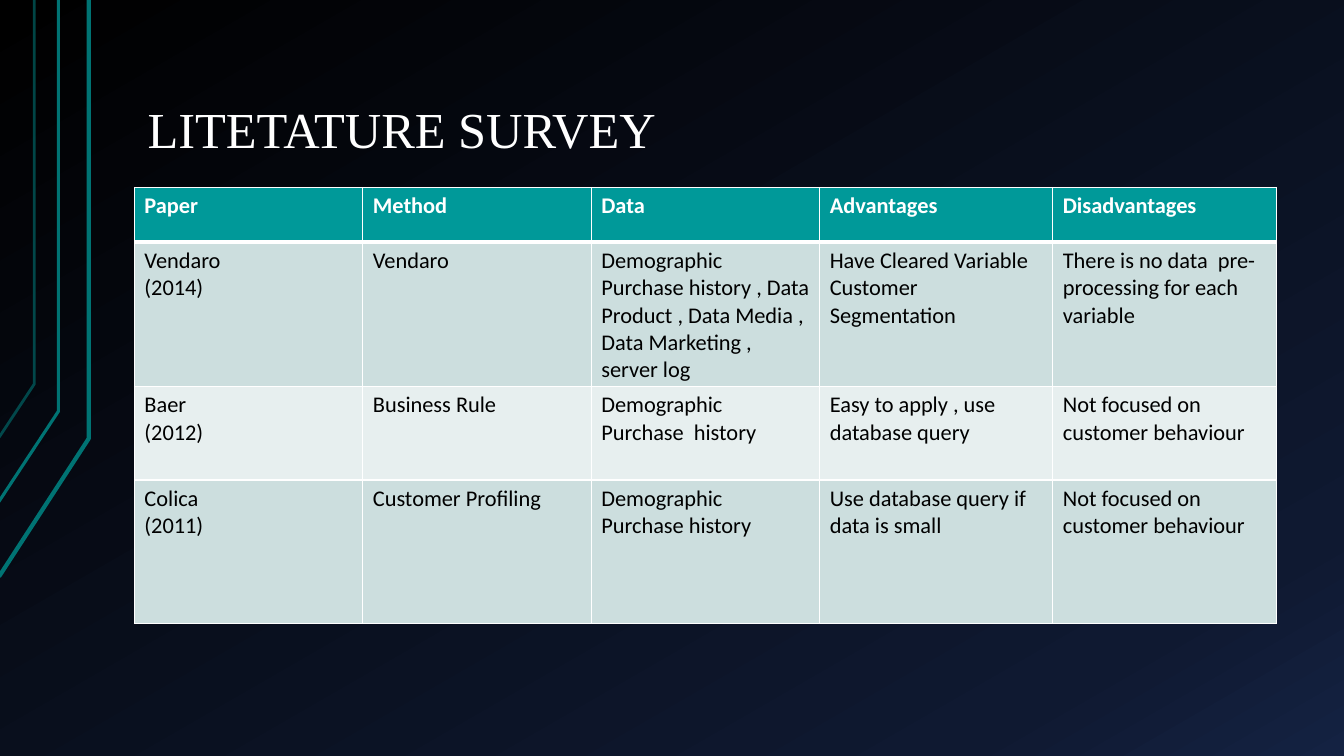
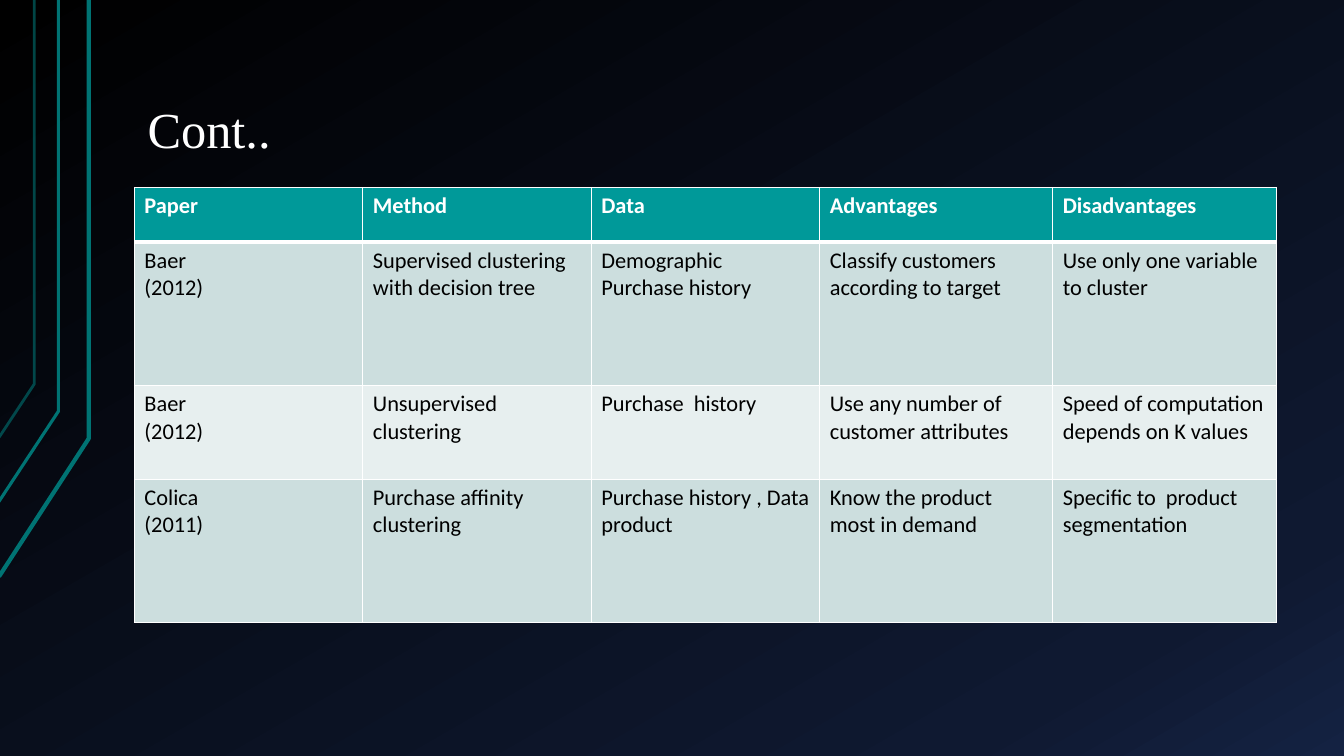
"""Build two literature survey slides with a shared dark theme."""
from copy import deepcopy

from lxml import etree
from pptx import Presentation
from pptx import util as u
from pptx.dml.color import RGBColor
from pptx.enum import text
from pptx.oxml import ns

WIDTH, HEIGHT = u.Inches(13.33), u.Inches(7.5)
WHITE, BLACK = RGBColor(255, 255, 255), RGBColor(0, 0, 0)
TEAL, DARK_TEAL = RGBColor(0, 0x99, 0x99), RGBColor(0, 0x73, 0x73)
BANDS = RGBColor(0xCC, 0xDE, 0xDE), RGBColor(0xE7, 0xEF, 0xEF)
BACKDROP = [(0, BLACK), (0.85, RGBColor(0x0F, 0x19, 0x31)), (1, RGBColor(0x14, 0x22, 0x42))]

TITLE_BOX = (0.1, 0.04, 0.85, 0.18)
TABLE_BOX = (0.1, 0.248, 0.85, 0.576)
COLUMN_SHARES = (0.2, 0.2, 0.2, 0.204, 0.196)
ROW_SHARES = (0.125, 0.33, 0.215, 0.33)

RAILS = [
    ([(-0.01, 5.72), (0.88, 4.35), (0.88, 0)], 3, 100),
    ([(-0.02, 4.99), (0.58, 4.08), (0.58, 0)], 2.25, 100),
    ([(-0.01, 4.34), (0.34, 3.81), (0.34, 0)], 2, 60),
]

HEADERS = ["Paper", "Method", "Data", "Advantages", "Disadvantages"]
SLIDES = [
    ("LITETATURE SURVEY", [
        ["Vendaro\n(2014)", "Vendaro",
         "Demographic Purchase history , Data Product , Data Media , Data Marketing , server log",
         "Have Cleared Variable Customer Segmentation",
         "There is no data  pre-processing for each variable"],
        ["Baer\n(2012)", "Business Rule", "Demographic Purchase  history",
         "Easy to apply , use database query", "Not focused on customer behaviour"],
        ["Colica\n(2011)", "Customer Profiling", "Demographic Purchase history",
         "Use database query if data is small", "Not focused on customer behaviour"],
    ]),
    ("Cont..", [
        ["Baer\n(2012)", "Supervised clustering with decision tree",
         "Demographic Purchase history", "Classify customers according to target",
         "Use only one variable to cluster"],
        ["Baer\n(2012)", "Unsupervised clustering", "Purchase  history",
         "Use any number of customer attributes", "Speed of computation depends on K values"],
        ["Colica\n(2011)", "Purchase affinity clustering", "Purchase history , Data product",
         "Know the product most in demand", "Specific to  product segmentation"],
    ]),
]


def place(box):
    """Turn shares of the slide into left, top, width and height."""
    return [u.Emu(round(share * side)) for share, side in zip(box, (WIDTH, HEIGHT) * 2)]


def write(frame, content, *, size, font, color, bold=False, spacing=1.0):
    """Fill a text frame, one paragraph per line of content."""
    frame.word_wrap = True
    frame.text = content
    for paragraph in frame.paragraphs:
        paragraph.line_spacing = spacing
        for run in paragraph.runs:
            run.font.size, run.font.name, run.font.bold = u.Pt(size), font, bold
            run.font.color.rgb = color


def paint_background(master):
    """Give the master its diagonal gradient."""
    fill = master.background.fill
    fill.gradient()
    fill.gradient_angle = 300
    first = master.element.find(".//" + ns.qn("p:bg")).find(".//" + ns.qn("a:gs"))
    first.addnext(deepcopy(first))
    for stop, (position, color) in zip(fill.gradient_stops, BACKDROP):
        stop.position = position
        stop.color.rgb = color


def add_rails(slide):
    """Draw the bent lines along the left edge."""
    for points, weight, opacity in RAILS:
        start, *rest = [(u.Inches(x), u.Inches(y)) for x, y in points]
        builder = slide.shapes.build_freeform(*start)
        builder.add_line_segments(rest, close=False)
        rail = builder.convert_to_shape()
        rail.shadow.inherit = False
        rail.fill.background()
        rail.line.color.rgb = DARK_TEAL
        rail.line.width = u.Pt(weight)
        color = rail.line._get_or_add_ln().find(".//" + ns.qn("a:srgbClr"))
        etree.SubElement(color, ns.qn("a:alpha"), val=str(opacity * 1000))


def add_title(slide, box, title):
    """Place the slide title on the bottom of its box."""
    frame = slide.shapes.add_textbox(*place(box)).text_frame
    frame.vertical_anchor = text.MSO_ANCHOR.BOTTOM
    frame.margin_left = frame.margin_right = u.Inches(0.13)
    frame.margin_top = frame.margin_bottom = u.Inches(0.07)
    write(frame, title, size=36, font="Times New Roman", color=WHITE, spacing=0.9)


def set_borders(cell, **weights):
    """Draw white cell borders with a weight in points for each side."""
    properties = cell._tc.get_or_add_tcPr()
    for index, side in enumerate("LRTB"):
        line = etree.Element(ns.qn("a:ln" + side), w=str(u.Pt(weights.get(side, 1))))
        fill = etree.SubElement(line, ns.qn("a:solidFill"))
        etree.SubElement(fill, ns.qn("a:srgbClr"), val=str(WHITE))
        properties.insert(index, line)


def add_survey_table(slide, box, records):
    """Place the survey table with its header and banded rows."""
    rows = [HEADERS] + records
    left, top, width, height = place(box)
    table = slide.shapes.add_table(len(rows), len(HEADERS), left, top, width, height).table
    table.horz_banding = False
    for column, share in zip(table.columns, COLUMN_SHARES):
        column.width = round(width * share)
    for index, (row, share, values) in enumerate(zip(table.rows, ROW_SHARES, rows)):
        row.height = round(height * share)
        header = index == 0
        for cell, value in zip(row.cells, values):
            cell.fill.solid()
            cell.fill.fore_color.rgb = TEAL if header else BANDS[(index - 1) % 2]
            set_borders(cell, B=3 if header else 1, T=3 if index == 1 else 1)
            write(cell.text_frame, value, size=16, font="Calibri",
                  color=WHITE if header else BLACK, bold=header)


def add_survey_slide(presentation, title, records):
    """Add one slide with rails, title and table."""
    slide = presentation.slides.add_slide(presentation.slide_layouts[6])
    add_rails(slide)
    add_title(slide, TITLE_BOX, title)
    add_survey_table(slide, TABLE_BOX, records)


def main():
    """Build and save the presentation."""
    presentation = Presentation()
    presentation.slide_width, presentation.slide_height = WIDTH, HEIGHT
    paint_background(presentation.slide_master)
    for title, records in SLIDES:
        add_survey_slide(presentation, title, records)
    presentation.save("out.pptx")


if __name__ == "__main__":
    main()
